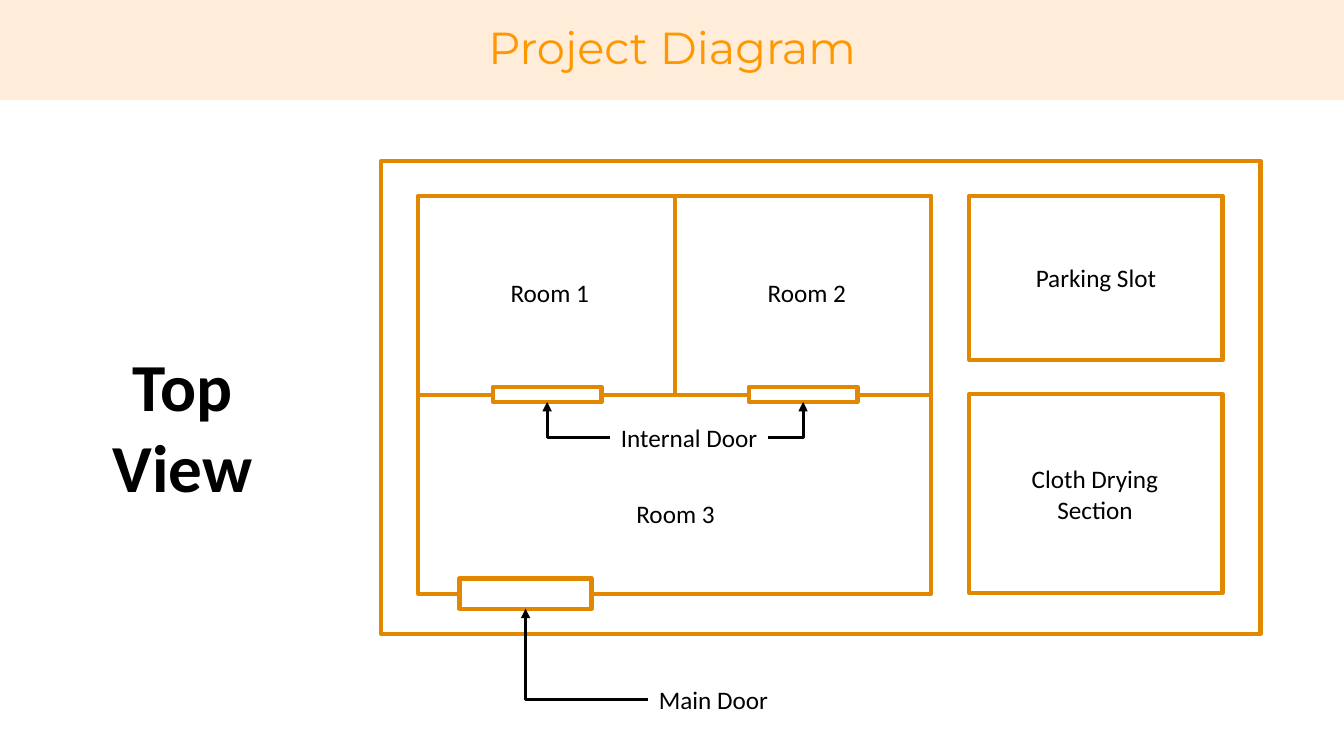
from dataclasses import dataclass

import pptx
import pptx.dml.color
import pptx.enum.shapes
import pptx.enum.text
import pptx.oxml
import pptx.oxml.ns
import pptx.util

Cm = pptx.util.Cm
Pt = pptx.util.Pt
CONNECTOR = pptx.enum.shapes.MSO_CONNECTOR
TOP, LEFT, BOTTOM, RIGHT = range(4)

COLORS = {
    "wall": "E28700",
    "door": "FFFFFF",
    "ink": "000000",
    "banner": "FFECD9",
    "title": "FF9800",
}
LABEL_FONT = {"name": "Calibri", "size": Pt(18), "bold": False}
TITLE_FONT = {"name": "Montserrat", "size": Pt(32), "bold": False}
VIEW_FONT = {"name": "Calibri", "size": Pt(48), "bold": True}


@dataclass(frozen=True)
class Area:
    left: float
    top: float
    width: float
    height: float
    fill: str | None = None
    line: str | None = "wall"


@dataclass(frozen=True)
class Label:
    text: str
    left: float
    top: float
    width: float
    height: float = 1.02
    color: str = "ink"


def rgb(name: str) -> pptx.dml.color.RGBColor:
    return pptx.dml.color.RGBColor.from_string(COLORS[name])


def draw_area(slide, area: Area):
    shape = slide.shapes.add_shape(
        pptx.enum.shapes.MSO_SHAPE.RECTANGLE,
        Cm(area.left), Cm(area.top), Cm(area.width), Cm(area.height),
    )
    shape.shadow.inherit = False
    if area.fill:
        shape.fill.solid()
        shape.fill.fore_color.rgb = rgb(area.fill)
    else:
        shape.fill.background()
    if area.line:
        shape.line.color.rgb = rgb(area.line)
        shape.line.width = Pt(3)
    else:
        shape.line.fill.background()
    return shape


def draw_label(slide, label: Label, font_values: dict = LABEL_FONT):
    box = slide.shapes.add_textbox(
        Cm(label.left), Cm(label.top), Cm(label.width), Cm(label.height)
    )
    frame = box.text_frame
    frame.text = label.text
    frame.word_wrap = False
    frame.auto_size = pptx.enum.text.MSO_AUTO_SIZE.SHAPE_TO_FIT_TEXT
    for paragraph in frame.paragraphs:
        paragraph.alignment = pptx.enum.text.PP_ALIGN.CENTER
        for run in paragraph.runs:
            for attribute, value in font_values.items():
                setattr(run.font, attribute, value)
            run.font.color.rgb = rgb(label.color)
    return box


def style_connector(connector, color: str, width: float) -> None:
    connector.line.color.rgb = rgb(color)
    connector.line.width = Pt(width)
    connector._element.spPr.append(pptx.oxml.parse_xml(
        f"<a:effectLst {pptx.oxml.ns.nsdecls('a')}/>"
    ))


def draw_pointer(slide, label_box, side: int, door) -> None:
    pointer = slide.shapes.add_connector(CONNECTOR.ELBOW, 0, 0, 0, 0)
    pointer.begin_connect(label_box, side)
    pointer.end_connect(door, BOTTOM)
    pointer._element.spPr.prstGeom.set("prst", "bentConnector2")
    style_connector(pointer, "ink", 2.25)
    pointer.line._get_or_add_ln().append(pptx.oxml.parse_xml(
        f"<a:tailEnd {pptx.oxml.ns.nsdecls('a')} type='triangle'/>"
    ))


def draw_house(slide) -> None:
    house = draw_area(slide, Area(10.54, 4.93, 12.93, 10.03))
    center_x = house.left + house.width // 2
    center_y = house.top + house.height // 2

    room_divider = slide.shapes.add_connector(
        CONNECTOR.STRAIGHT, center_x, house.top, center_x, center_y
    )
    room_divider.begin_connect(house, TOP)
    middle_wall = slide.shapes.add_connector(
        CONNECTOR.STRAIGHT, house.left, center_y, house.left + house.width, center_y
    )
    middle_wall.begin_connect(house, LEFT)
    middle_wall.end_connect(house, RIGHT)
    for wall in (room_divider, middle_wall):
        style_connector(wall, "wall", 3)


def main() -> None:
    presentation = pptx.Presentation()
    presentation.slide_width = Cm(33.87)
    presentation.slide_height = Cm(19.05)
    slide = presentation.slides.add_slide(presentation.slide_layouts[6])

    draw_area(slide, Area(9.6, 4.06, 22.17, 11.91))
    draw_house(slide)

    drying_section = Area(24.43, 9.93, 6.38, 5.01)
    parking_slot = Area(24.43, 4.93, 6.38, 4.14)
    for area in (drying_section, parking_slot):
        draw_area(slide, area)

    main_door = draw_area(slide, Area(11.58, 14.58, 3.33, 0.76, "door"))
    room_1_door, room_2_door = (
        draw_area(slide, Area(left, 9.75, 2.74, 0.38, "door"))
        for left in (12.42, 18.87)
    )

    for label in (
        Label("Parking Slot", 25.83, 6.48, 3.58),
        Label("Cloth Drying\vSection", 25.73, 11.56, 3.73, 1.8),
        Label("Room 1", 12.6, 6.86, 2.51),
        Label("Room 2", 19.08, 6.86, 2.51),
        Label("Room 3", 15.77, 12.42, 2.51),
    ):
        draw_label(slide, label)

    main_door_label = draw_label(slide, Label("Main Door", 16.33, 17.12, 3.3))
    internal_door_label = draw_label(slide, Label("Internal Door", 15.37, 10.52, 3.99))
    draw_pointer(slide, main_door_label, LEFT, main_door)
    draw_pointer(slide, internal_door_label, LEFT, room_1_door)
    draw_pointer(slide, internal_door_label, RIGHT, room_2_door)

    draw_area(slide, Area(0, -0.1, 33.87, 2.62, "banner", None))
    draw_label(
        slide, Label("Project Diagram", 11.61, 0.38, 10.67, 1.63, "title"), TITLE_FONT
    )
    draw_label(slide, Label("Top\nView", 2.57, 8.56, 4.06, 4.37), VIEW_FONT)

    presentation.save("out.pptx")


if __name__ == "__main__":
    main()
